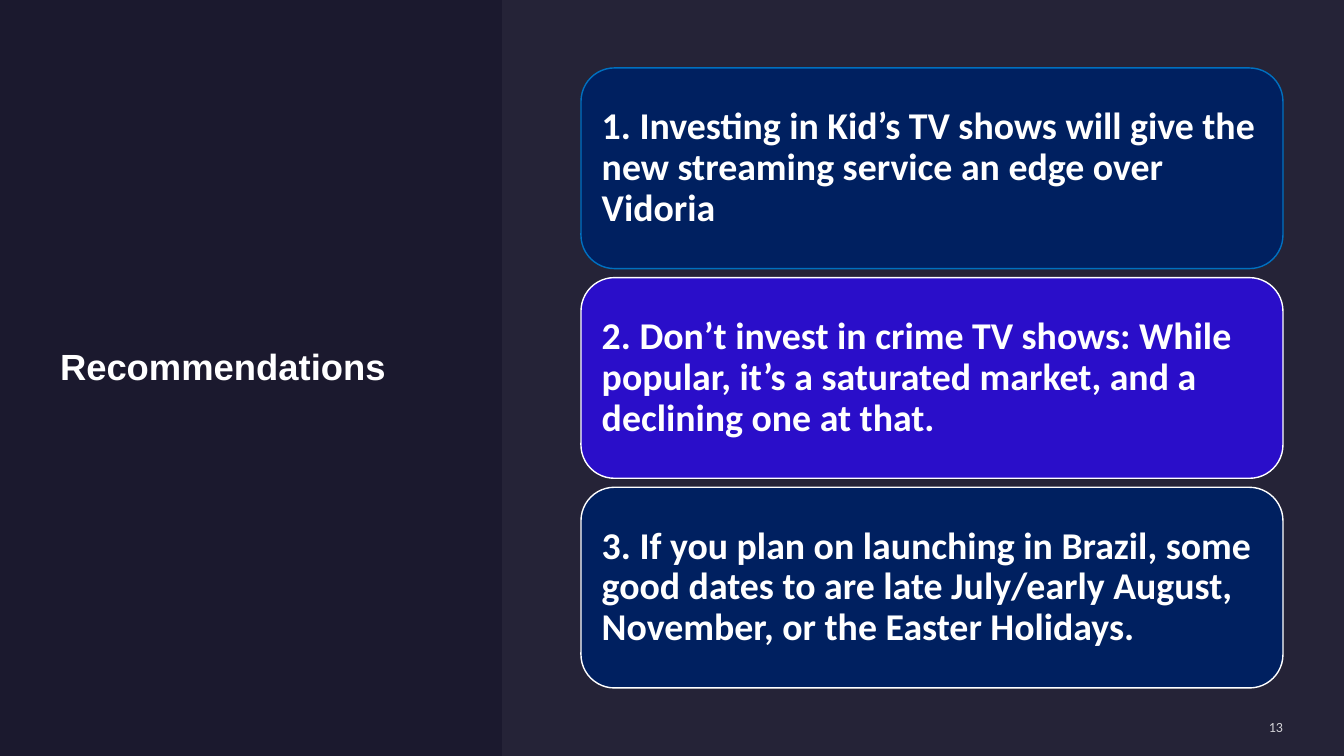
from lxml import etree
from pptx import Presentation
from pptx.dml.color import RGBColor
from pptx.enum import shapes, text
from pptx.oxml import ns
from pptx.util import Pt

PX = 12192000 / 1344
NIGHT = RGBColor(0x1B, 0x19, 0x2E)
MIST = RGBColor(0xE4, 0xE3, 0xF0)
NAVY = RGBColor(0x00, 0x20, 0x60)
VIOLET = RGBColor(0x2A, 0x0E, 0xC9)
BLUE = RGBColor(0x00, 0x70, 0xC0)
WHITE = RGBColor(0xFF, 0xFF, 0xFF)

ADVICE = [
    ("1. Investing in Kid’s TV shows will give the new streaming service "
     "an edge over Vidoria", NAVY, BLUE),
    ("2. Don’t invest in crime TV shows: While popular, it’s a saturated "
     "market, and a declining one at that.", VIOLET, WHITE),
    ("3. If you plan on launching in Brazil, some good dates to are late "
     "July/early August, November, or the Easter Holidays.", NAVY, WHITE),
]


def px(*sizes):
    """Turn pixel lengths into EMU."""
    return [round(size * PX) for size in sizes]


def fade(fill, percent):
    """Set the opacity of a solid colour fill."""
    tint = fill._xPr.find(ns.qn("a:solidFill"))[0]
    etree.SubElement(tint, ns.qn("a:alpha"), val=str(percent * 1000))


def write(shape, words, size, font, bold=True, align=text.PP_ALIGN.LEFT, inset=0):
    frame = shape.text_frame
    frame.text = words
    frame.word_wrap = True
    frame.auto_size = text.MSO_AUTO_SIZE.NONE
    frame.vertical_anchor = text.MSO_ANCHOR.MIDDLE
    edge, = px(inset)
    frame.margin_left = frame.margin_right = edge
    frame.margin_top = frame.margin_bottom = edge
    line = frame.paragraphs[0]
    line.alignment = align
    face = line.runs[0].font
    face.name, face.size, face.bold = font, Pt(size), bold
    face.color.rgb = WHITE
    return line


def add_box(slide, kind, box, color):
    shape = slide.shapes.add_shape(kind, *px(*box))
    shape.shadow.inherit = False
    shape.fill.solid()
    shape.fill.fore_color.rgb = color
    shape.line.fill.background()
    return shape


def add_title(slide, box):
    title = slide.shapes.title
    title.left, title.top, title.width, title.height = px(*box)
    write(title, "Recommendations", 26, "Arial")


def add_panel(slide, box):
    panel = add_box(slide, shapes.MSO_SHAPE.RECTANGLE, box, MIST)
    fade(panel.fill, 5)


def add_cards(slide, box, gap=9):
    """Stack the advice in equal cards that fill the box."""
    left, top, width, height = box
    tall = (height - gap * (len(ADVICE) - 1)) / len(ADVICE)
    for row, (words, color, edge) in enumerate(ADVICE):
        place = left, top + row * (tall + gap), width, tall
        card = add_box(slide, shapes.MSO_SHAPE.ROUNDED_RECTANGLE, place, color)
        card.line.color.rgb = edge
        card.line.width = Pt(1)
        line = write(card, words, 27, "Calibri", inset=11)
        line.line_spacing = 0.9


def add_number(slide, box):
    label = slide.shapes.add_textbox(*px(*box))
    line = write(label, "13", 10, "Calibri", False, text.PP_ALIGN.RIGHT)
    fade(line.runs[0].font.fill, 80)


def main():
    deck = Presentation()
    deck.slide_width, deck.slide_height = px(1344, 756)
    slide = deck.slides.add_slide(deck.slide_layouts[5])
    slide.background.fill.solid()
    slide.background.fill.fore_color.rgb = NIGHT
    add_title(slide, (60, 60, 393, 611))
    add_panel(slide, (502, 0, 842, 756))
    add_number(slide, (1097, 718, 186, 17))
    add_cards(slide, (581, 68, 702, 620))
    deck.save("out.pptx")


if __name__ == "__main__":
    main()
